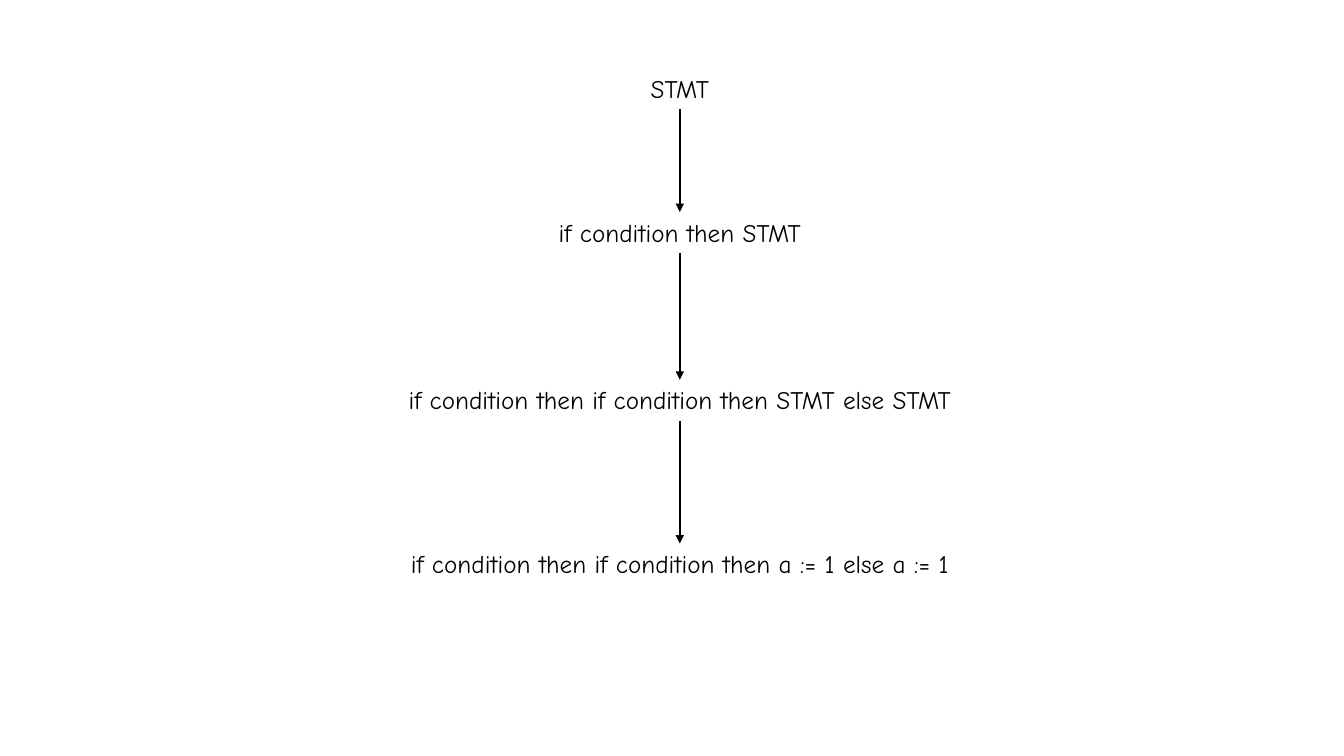
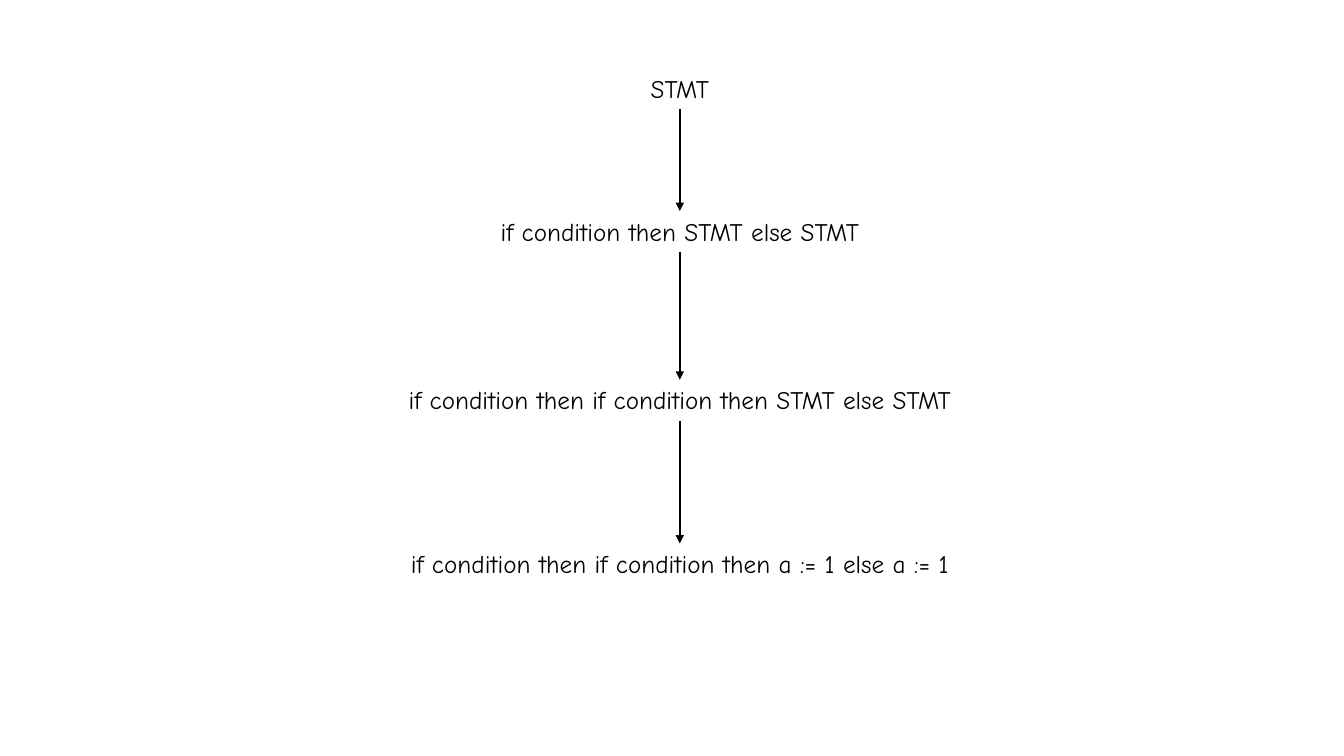
from itertools import pairwise

from lxml.etree import SubElement
from pptx import Presentation
from pptx.dml.color import RGBColor
from pptx.enum.shapes import MSO_CONNECTOR as Connector
from pptx.enum.text import MSO_AUTO_SIZE as AutoSize, PP_ALIGN as Align
from pptx.oxml.ns import qn
from pptx.util import Pt

THEME = {
    "ink": RGBColor(0, 0, 0),
    "font": {"name": "Comic Neue", "size": Pt(18)},
    "frame": {"word_wrap": True, "auto_size": AutoSize.SHAPE_TO_FIT_TEXT},
    "arrow_width": Pt(1.5),
}
CENTER = 485.6
STEP_HEIGHT = 29.1

START = ("STMT", 49, 68)
NESTED = ("if condition then if condition then STMT else STMT", 271.3, 468)
RESULT = ("if condition then if condition then a := 1 else a := 1", 388.2, 438)
DERIVATIONS = [
    [START, ("if condition then STMT", 151.4, 234), NESTED, RESULT],
    [START, ("if condition then STMT else STMT", 150.7, 350), NESTED, RESULT],
]


def add_step(slide, text, top, width):
    box = slide.shapes.add_textbox(
        Pt(CENTER - width / 2), Pt(top), Pt(width), Pt(STEP_HEIGHT)
    )
    frame = box.text_frame
    for name, value in THEME["frame"].items():
        setattr(frame, name, value)
    paragraph = frame.paragraphs[0]
    paragraph.alignment = Align.CENTER
    run = paragraph.add_run()
    run.text = text
    for name, value in THEME["font"].items():
        setattr(run.font, name, value)
    run.font.color.rgb = THEME["ink"]


def add_arrow(slide, start, end):
    arrow = slide.shapes.add_connector(
        Connector.STRAIGHT, Pt(CENTER), Pt(start), Pt(CENTER), Pt(end)
    )
    arrow.line.color.rgb = THEME["ink"]
    arrow.line.width = THEME["arrow_width"]
    SubElement(arrow.line._get_or_add_ln(), qn("a:tailEnd"), type="triangle")
    SubElement(arrow._element.spPr, qn("a:effectLst"))


presentation = Presentation()
presentation.slide_width = Pt(960)
presentation.slide_height = Pt(540)
blank_layout = presentation.slide_layouts[6]

for steps in DERIVATIONS:
    slide = presentation.slides.add_slide(blank_layout)
    for text, top, width in steps:
        add_step(slide, text, top, width)
    for (_, top, _), (_, next_top, _) in pairwise(steps):
        add_arrow(slide, top + STEP_HEIGHT, next_top)

presentation.save("out.pptx")
